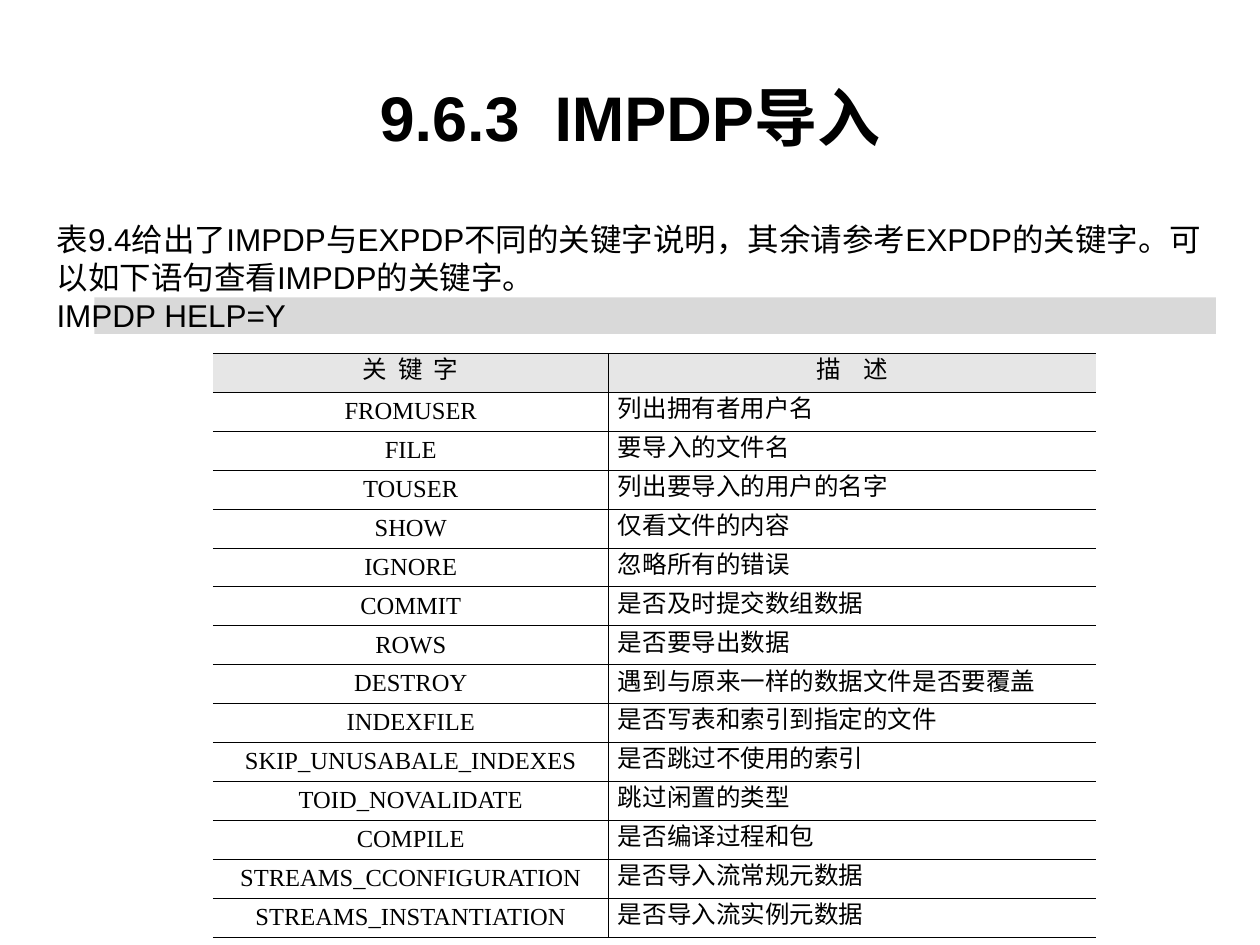
from dataclasses import dataclass

from lxml.etree import SubElement
from pptx import Presentation
from pptx.dml.color import RGBColor as RGB
from pptx.enum.shapes import MSO_SHAPE as Shape
from pptx.enum.text import MSO_ANCHOR as Anchor, MSO_AUTO_SIZE as AutoSize, PP_ALIGN as Align
from pptx.oxml.ns import qn
from pptx.util import Pt


@dataclass(frozen=True)
class Theme:
    ink: RGB = RGB(0x00, 0x00, 0x00)
    code_band: RGB = RGB(0xD9, 0xD9, 0xD9)
    header_fill: RGB = RGB(0xE6, 0xE6, 0xE6)
    sans: str = "Arial"
    serif: str = "Times New Roman"
    title_size: float = 36
    body_size: float = 18
    table_size: float = 14
    table_leading: float = 15
    rule_width: float = 0.45


THEME = Theme()

TITLE = "9.6.3  IMPDP导入"
INTRO = [
    "表9.4给出了IMPDP与EXPDP不同的关键字说明，其余请参考EXPDP的关键字。"
    "可以如下语句查看IMPDP的关键字。",
    "IMPDP HELP=Y",
]
KEYWORDS = [
    ("关  键  字", "描    述"),
    ("FROMUSER", "列出拥有者用户名"),
    ("FILE", "要导入的文件名"),
    ("TOUSER", "列出要导入的用户的名字"),
    ("SHOW", "仅看文件的内容"),
    ("IGNORE", "忽略所有的错误"),
    ("COMMIT", "是否及时提交数组数据"),
    ("ROWS", "是否要导出数据"),
    ("DESTROY", "遇到与原来一样的数据文件是否要覆盖"),
    ("INDEXFILE", "是否写表和索引到指定的文件"),
    ("SKIP_UNUSABALE_INDEXES", "是否跳过不使用的索引"),
    ("TOID_NOVALIDATE", "跳过闲置的类型"),
    ("COMPILE", "是否编译过程和包"),
    ("STREAMS_CCONFIGURATION", "是否导入流常规元数据"),
    ("STREAMS_INSTANTIATION", "是否导入流实例元数据"),
]
COLUMN_WIDTHS = (226.08, 278.64)
ROW_HEIGHT = 18.14


def add_run(paragraph, text, size, font, bold=False):
    run = paragraph.add_run()
    run.text = text
    run.font.size = Pt(size)
    run.font.name = font
    run.font.bold = bold
    run.font.color.rgb = THEME.ink


def add_band(slide, left, top, width, height):
    band = slide.shapes.add_shape(Shape.RECTANGLE, Pt(left), Pt(top), Pt(width), Pt(height))
    band.shadow.inherit = False
    band.fill.solid()
    band.fill.fore_color.rgb = THEME.code_band
    band.line.fill.background()


def add_text(slide, box, lines, size, align=Align.LEFT, anchor=Anchor.TOP,
             bold=False, grow=False):
    frame = slide.shapes.add_textbox(*map(Pt, box)).text_frame
    frame.word_wrap = True
    frame.vertical_anchor = anchor
    frame.auto_size = AutoSize.SHAPE_TO_FIT_TEXT if grow else AutoSize.NONE
    for index, line in enumerate(lines):
        paragraph = frame.add_paragraph() if index else frame.paragraphs[0]
        paragraph.alignment = align
        add_run(paragraph, line, size, THEME.sans, bold)


def set_borders(cell, ruled_sides):
    properties = cell._tc.get_or_add_tcPr()
    for side in "LRTB":
        border = SubElement(properties, qn(f"a:ln{side}"), w=str(int(Pt(THEME.rule_width))))
        if side in ruled_sides:
            fill = SubElement(border, qn("a:solidFill"))
            SubElement(fill, qn("a:srgbClr"), val=str(THEME.ink))
        else:
            SubElement(border, qn("a:noFill"))


def fill_cell(cell, text, is_header, is_keyword):
    set_borders(cell, "RTB" if is_keyword else "LTB")
    if is_header:
        cell.fill.solid()
        cell.fill.fore_color.rgb = THEME.header_fill
    else:
        cell.fill.background()
    cell.vertical_anchor = Anchor.MIDDLE
    cell.margin_left = cell.margin_right = Pt(5.4)
    paragraph = cell.text_frame.paragraphs[0]
    paragraph.alignment = Align.CENTER if is_header or is_keyword else Align.JUSTIFY
    paragraph.line_spacing = Pt(THEME.table_leading)
    add_run(paragraph, text, THEME.table_size, THEME.serif)


def add_keyword_table(slide, left, top):
    table = slide.shapes.add_table(
        len(KEYWORDS), len(COLUMN_WIDTHS), Pt(left), Pt(top),
        Pt(sum(COLUMN_WIDTHS)), Pt(ROW_HEIGHT * len(KEYWORDS))).table
    table.first_row = table.horz_banding = False
    for column, width in zip(table.columns, COLUMN_WIDTHS):
        column.width = Pt(width)
    for r, entry in enumerate(KEYWORDS):
        table.rows[r].height = Pt(ROW_HEIGHT)
        for c, text in enumerate(entry):
            fill_cell(table.cell(r, c), text, is_header=r == 0, is_keyword=c == 0)


def main():
    deck = Presentation()
    deck.slide_width, deck.slide_height = Pt(720), Pt(540)
    slide = deck.slides.add_slide(deck.slide_layouts[6])

    # Grey band behind the command line
    add_band(slide, 54, 170, 640.8, 20.8)

    # Title and introduction
    add_text(slide, (36, 21.6, 648, 90), [TITLE], THEME.title_size,
             Align.CENTER, Anchor.MIDDLE, bold=True)
    add_text(slide, (25.2, 122.4, 668.88, 93.6), INTRO, THEME.body_size, grow=True)

    # Keyword table
    add_keyword_table(slide, 121.7, 202)

    deck.save("out.pptx")


if __name__ == "__main__":
    main()
